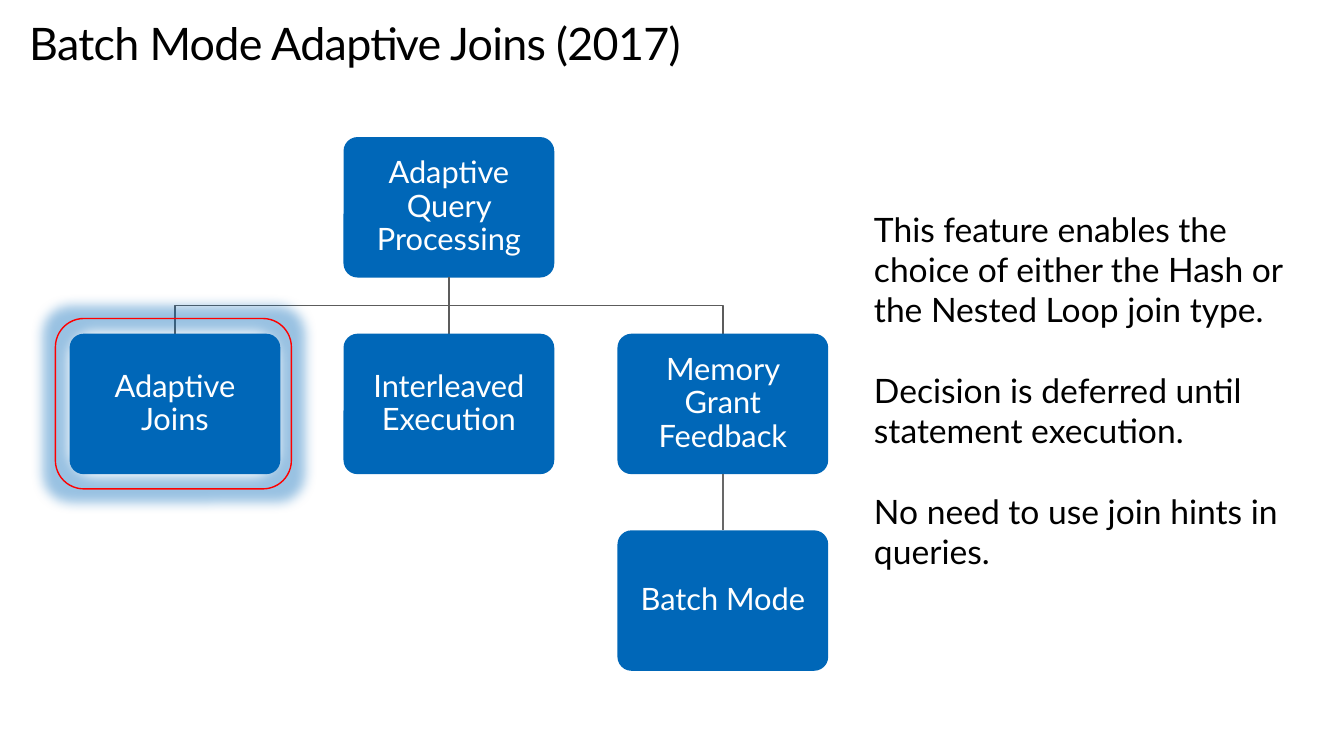
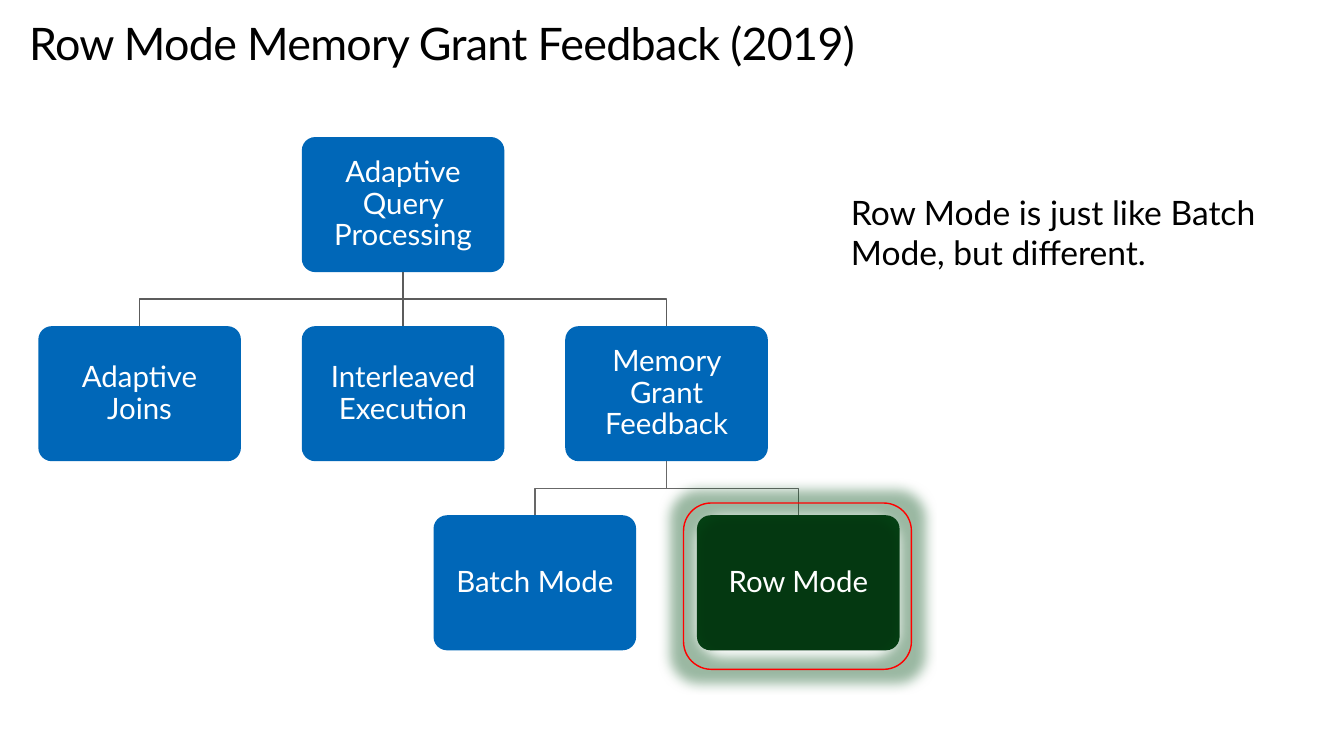
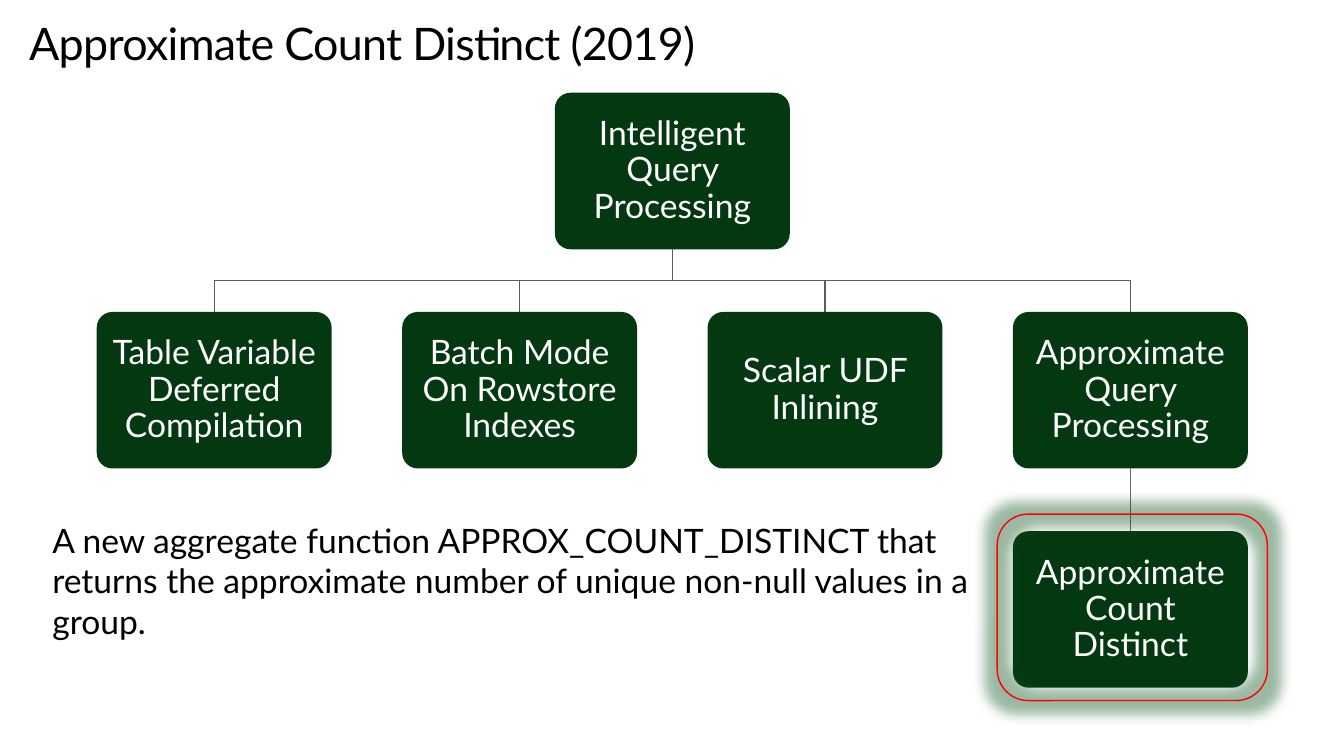
from pptx import Presentation
from pptx.dml.color import RGBColor
from pptx.enum.shapes import MSO_CONNECTOR, MSO_SHAPE
from pptx.enum.text import MSO_ANCHOR, PP_ALIGN
from pptx.oxml.ns import qn
from pptx.util import Inches, Pt
from lxml import etree

ROUND = MSO_SHAPE.ROUNDED_RECTANGLE
LINE = MSO_CONNECTOR.STRAIGHT
LEFT, CENTER = PP_ALIGN.LEFT, PP_ALIGN.CENTER
TOP, MIDDLE = MSO_ANCHOR.TOP, MSO_ANCHOR.MIDDLE

THEME = {
    "font": "Lato",
    "black": "000000",
    "white": "FFFFFF",
    "blue": "0067B8",
    "green": "043811",
    "red": "FF0000",
    "wires": ["5C5C5C", "686868"],
    "glows": {"blue": "0067B8", "green": "054F18"},
    "title": 32,
    "body": 24,
}
CELL = Inches(1)
COLS, ROWS = 13.33, 7.5
RATIO, STEP_X, STEP_Y = 2 / 3, 1.3, 1.4

TITLE = {
    "size": THEME["title"], "ink": "black", "pad": 0,
    "frame": {"word_wrap": True, "vertical_anchor": TOP},
    "para": {"alignment": LEFT, "line_spacing": Pt(36.2)},
}
BODY = {
    "size": THEME["body"], "ink": "black", "pad": None,
    "frame": {"word_wrap": True, "vertical_anchor": TOP},
    "para": {"alignment": LEFT},
}
NODE = {
    "ink": "white", "pad": 0.09,
    "frame": {"word_wrap": True, "vertical_anchor": MIDDLE},
    "para": {"alignment": CENTER, "line_spacing": 0.9},
}

PAGES = [
    {
        "title": "Batch Mode Adaptive Joins (2017)",
        "start": (0.69, 1.36), "width": 2.09, "size": 22,
        "nodes": [
            (1, 0, "Adaptive Query Processing", None, "blue"),
            (0, 1, "Adaptive Joins", 0, "blue"),
            (1, 1, "Interleaved Execution", 0, "blue"),
            (2, 1, "Memory Grant Feedback", 0, "blue"),
            (2, 2, "Batch Mode", 3, "blue"),
        ],
        "ring": (0.55, 3.16, 2.34, 1.69), "glow": "blue",
        "area": (8.57, 2.02, 4.66, 3.74),
        "body": [
            "This feature enables the choice of either the Hash or the Nested Loop join type.",
            "Decision is deferred until statement execution.",
            "No need to use join hints in queries.",
        ],
    },
    {
        "title": "Row Mode Memory Grant Feedback (2019)",
        "start": (0.38, 1.36), "width": 2.01, "size": 21,
        "nodes": [
            (1, 0, "Adaptive Query Processing", None, "blue"),
            (0, 1, "Adaptive Joins", 0, "blue"),
            (1, 1, "Interleaved Execution", 0, "blue"),
            (2, 1, "Memory Grant Feedback", 0, "blue"),
            (1.5, 2, "Batch Mode", 3, "blue"),
            (2.5, 2, "Row Mode", 3, "green"),
        ],
        "ring": (6.78, 4.99, 2.26, 1.65), "glow": "green",
        "area": (8.34, 1.85, 4.89, 0.91),
        "body": ["Row Mode is just like Batch Mode, but different."],
    },
    {
        "title": "Approximate Count Distinct (2019)",
        "start": (0.96, 0.92), "width": 2.33, "size": 24,
        "nodes": [
            (1.5, 0, "Intelligent Query Processing", None, "green"),
            (0, 1, "Table Variable Deferred Compilation", 0, "green"),
            (1, 1, "Batch Mode On Rowstore Indexes", 0, "green"),
            (2, 1, "Scalar UDF Inlining", 0, "green"),
            (3, 1, "Approximate Query Processing", 0, "green"),
            (3, 2, "Approximate Count Distinct", 4, "green"),
        ],
        "ring": (9.89, 5.1, 2.68, 1.85), "glow": "green",
        "area": (0.42, 5.11, 9.35, 1.31),
        "body": [
            "A new aggregate function APPROX_COUNT_DISTINCT that returns the "
            "approximate number of unique non-null values in a group.",
        ],
    },
]


def grid(*cells):
    return [round(cell * CELL) for cell in cells]


def write(shape, lines, style, size):
    frame = shape.text_frame
    for key, value in style["frame"].items():
        setattr(frame, key, value)
    if style["pad"] is not None:
        for side in ("left", "top", "right", "bottom"):
            setattr(frame, "margin_" + side, Inches(style["pad"]))
    for index, line in enumerate(lines):
        para = frame.add_paragraph() if index else frame.paragraphs[0]
        for key, value in style["para"].items():
            setattr(para, key, value)
        if index:
            para.space_before = Pt(size * 1.2)
        run = para.add_run()
        run.text = line
        for key, value in {"name": THEME["font"], "size": Pt(size)}.items():
            setattr(run.font, key, value)
        run.font.color.rgb = RGBColor.from_string(THEME[style["ink"]])


deck = Presentation()
deck.slide_width, deck.slide_height = grid(COLS, ROWS)

for page in PAGES:
    slide = deck.slides.add_slide(deck.slide_layouts[6])
    shapes = slide.shapes

    title = shapes.add_textbox(*grid(0.29, 0.19, 12, 0.5))
    write(title, [page["title"]], TITLE, TITLE["size"])
    title.text_frame.paragraphs[0].runs[0].font._element.set("spc", "-50")

    left, top = page["start"]
    wide = page["width"]
    high = wide * RATIO
    spots = [
        (left + col * wide * STEP_X, top + row * high * STEP_Y)
        for col, row, *rest in page["nodes"]
    ]

    for (x, y), (col, row, text, root, fill) in zip(spots, page["nodes"]):
        if root is not None:
            from_x, from_y = spots[root]
            head = (from_x + wide / 2, from_y + high)
            tail = (x + wide / 2, y)
            if page["nodes"][root][0] == col:
                wire = shapes.add_connector(LINE, *grid(*head, *tail))
                etree.SubElement(wire._element.spPr, qn("a:effectLst"))
            else:
                mid = (head[1] + tail[1]) / 2
                path = shapes.build_freeform(*grid(*head))
                bends = [(head[0], mid), (tail[0], mid), tail]
                path.add_line_segments([grid(*bend) for bend in bends], close=False)
                wire = path.convert_to_shape()
                wire.fill.background()
                wire.shadow.inherit = False
            wire.line.color.rgb = RGBColor.from_string(THEME["wires"][row - 1])
            wire.line.width = Pt(1)

        node = shapes.add_shape(ROUND, *grid(x, y, wide, high))
        node.adjustments[0] = 0.1
        node.shadow.inherit = False
        node.fill.solid()
        node.fill.fore_color.rgb = RGBColor.from_string(THEME[fill])
        node.line.fill.background()
        write(node, [text], NODE, page["size"])

    body = shapes.add_textbox(*grid(*page["area"]))
    write(body, page["body"], BODY, BODY["size"])

    ring = shapes.add_shape(ROUND, *grid(*page["ring"]))
    ring.fill.background()
    ring.line.color.rgb = RGBColor.from_string(THEME["red"])
    ring.line.width = Pt(1)
    ring.shadow.inherit = False
    effect = ring._element.spPr.find(qn("a:effectLst"))
    glow = etree.SubElement(effect, qn("a:glow"), rad=str(Pt(18)))
    tint = etree.SubElement(glow, qn("a:srgbClr"), val=THEME["glows"][page["glow"]])
    etree.SubElement(tint, qn("a:alpha"), val="40000")

deck.save("out.pptx")
